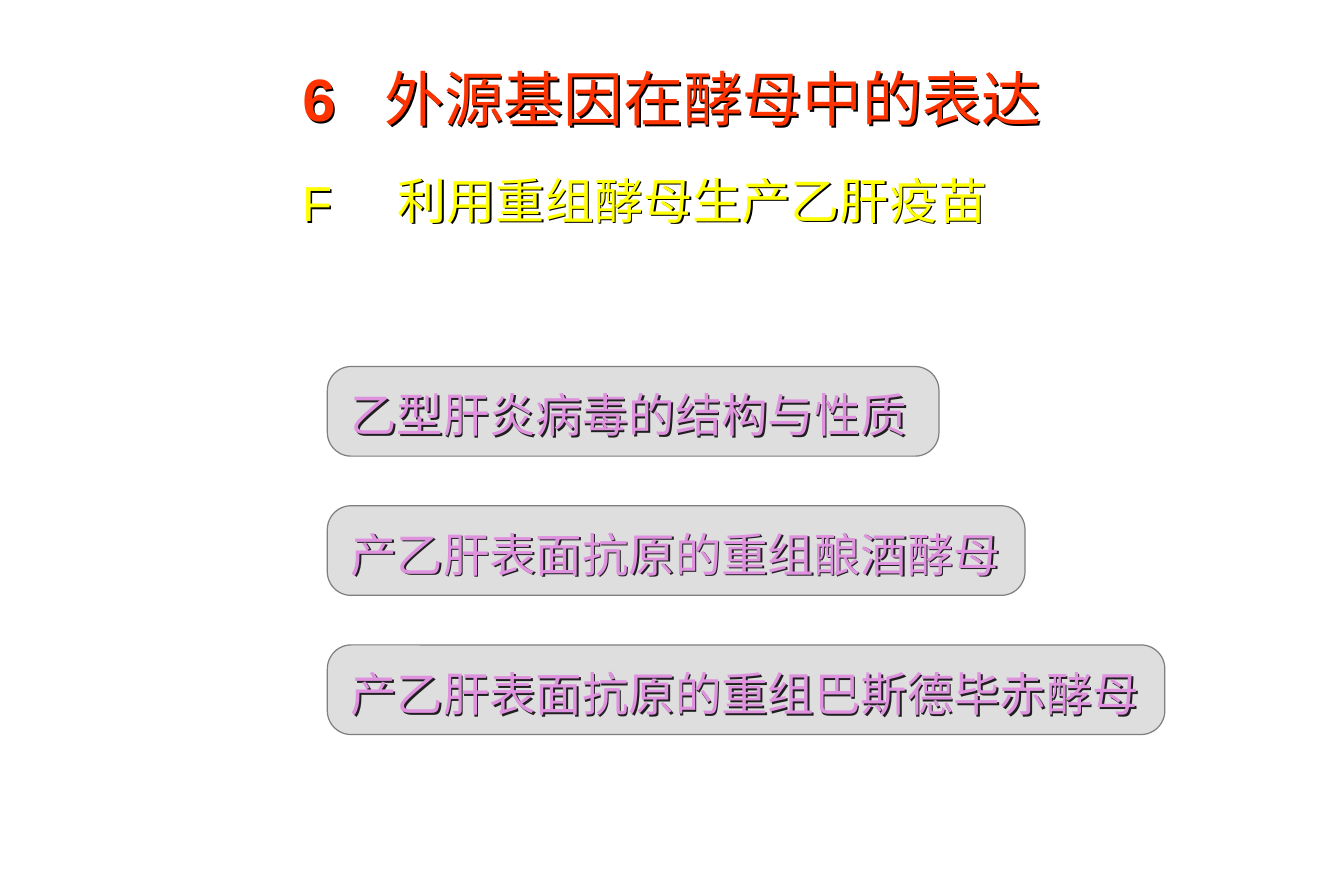
from dataclasses import dataclass

from lxml.etree import SubElement
from pptx import Presentation
from pptx.dml.color import RGBColor
from pptx.enum.shapes import MSO_SHAPE
from pptx.enum.text import MSO_ANCHOR, PP_ALIGN
from pptx.oxml.ns import qn
from pptx.shapes.autoshape import Shape
from pptx.slide import Slide
from pptx.util import Pt

COLORS = {
    "title": "FF3300",
    "subtitle": "FFFF00",
    "topic": "FF99FF",
    "panel": "7F7F7F",
    "shadow": "000000",
}


@dataclass
class Label:
    text: str
    left: float
    top: float
    width: float
    height: float
    size: float
    color: str
    line_spacing: float


@dataclass
class Topic:
    text: str
    text_width: float
    panel_width: float


@dataclass
class TitlePart:
    text: str
    size: float
    bold: bool


TITLE_PARTS = [
    TitlePart("6", 36, True),
    TitlePart("　", 29.5, False),
    TitlePart("外源基因在酵母中的表达", 36, False),
]
TOPICS = [
    Topic("乙型肝炎病毒的结构与性质", 350.6, 368.6),
    Topic("产乙肝表面抗原的重组酿酒酵母", 414, 420.5),
    Topic("产乙肝表面抗原的重组巴斯德毕赤酵母", 498.2, 504.7),
]
TOPIC_TOP = 216
TOPIC_STEP = 83.9

SUBTITLE_LABELS = [
    Label("F", 175, 104.4, 62.6, 45.4, 29.6, "subtitle", 0.9),
    Label("利用重组酵母生产乙肝疫苗", 232.6, 103, 402.5, 45.4, 29.6, "subtitle", 0.9),
]


def add_text_shadow(shape: Shape) -> None:
    shape.fill.background()
    effects = SubElement(shape._element.spPr, qn("a:effectLst"))
    shadow = SubElement(
        effects, qn("a:outerShdw"), dist="17961", dir="2700000", algn="ctr"
    )
    SubElement(shadow, qn("a:srgbClr"), val=COLORS["shadow"])


def add_title(slide: Slide) -> None:
    title = slide.shapes.title
    title.left, title.top = Pt(74.9), Pt(31.9)
    title.width, title.height = Pt(660.2), Pt(54)
    add_text_shadow(title)
    title.text_frame.vertical_anchor = MSO_ANCHOR.MIDDLE
    paragraph = title.text_frame.paragraphs[0]
    paragraph.alignment = PP_ALIGN.CENTER
    paragraph.space_before = Pt(0)
    for part in TITLE_PARTS:
        run = paragraph.add_run()
        run.text = part.text
        run.font.bold = part.bold
        run.font.size = Pt(part.size)
    paragraph.font.name = "Arial"
    paragraph.font.color.rgb = RGBColor.from_string(COLORS["title"])


def add_label(slide: Slide, label: Label) -> None:
    box = slide.shapes.add_textbox(
        Pt(label.left), Pt(label.top), Pt(label.width), Pt(label.height)
    )
    add_text_shadow(box)
    box.text_frame.word_wrap = True
    paragraph = box.text_frame.paragraphs[0]
    paragraph.text = label.text
    paragraph.line_spacing = label.line_spacing
    paragraph.font.size = Pt(label.size)
    paragraph.font.name = "Arial"
    paragraph.font.color.rgb = RGBColor.from_string(COLORS[label.color])


def add_panel(slide: Slide, top: float, width: float) -> None:
    panel = slide.shapes.add_shape(
        MSO_SHAPE.ROUNDED_RECTANGLE, Pt(197.3), Pt(top), Pt(width), Pt(54)
    )
    panel.adjustments[0] = 0.265
    panel.shadow.inherit = False
    panel.fill.solid()
    panel.fill.fore_color.rgb = RGBColor.from_string(COLORS["panel"])
    fill_color = panel._element.spPr.find(qn("a:solidFill"))[0]
    SubElement(fill_color, qn("a:alpha"), val="25000")
    panel.line.color.rgb = RGBColor.from_string(COLORS["panel"])
    panel.line.width = Pt(0.75)


def main() -> None:
    presentation = Presentation()
    presentation.slide_width, presentation.slide_height = Pt(810), Pt(540)
    slide = presentation.slides.add_slide(presentation.slide_layouts[5])
    add_title(slide)
    for label in SUBTITLE_LABELS:
        add_label(slide, label)
    for index, topic in enumerate(TOPICS):
        top = TOPIC_TOP + index * TOPIC_STEP
        add_label(
            slide,
            Label(topic.text, 204.1, top, topic.text_width, 55.4, 28, "topic", 1.4),
        )
        add_panel(slide, top + 4.9, topic.panel_width)
    presentation.save("out.pptx")


if __name__ == "__main__":
    main()
